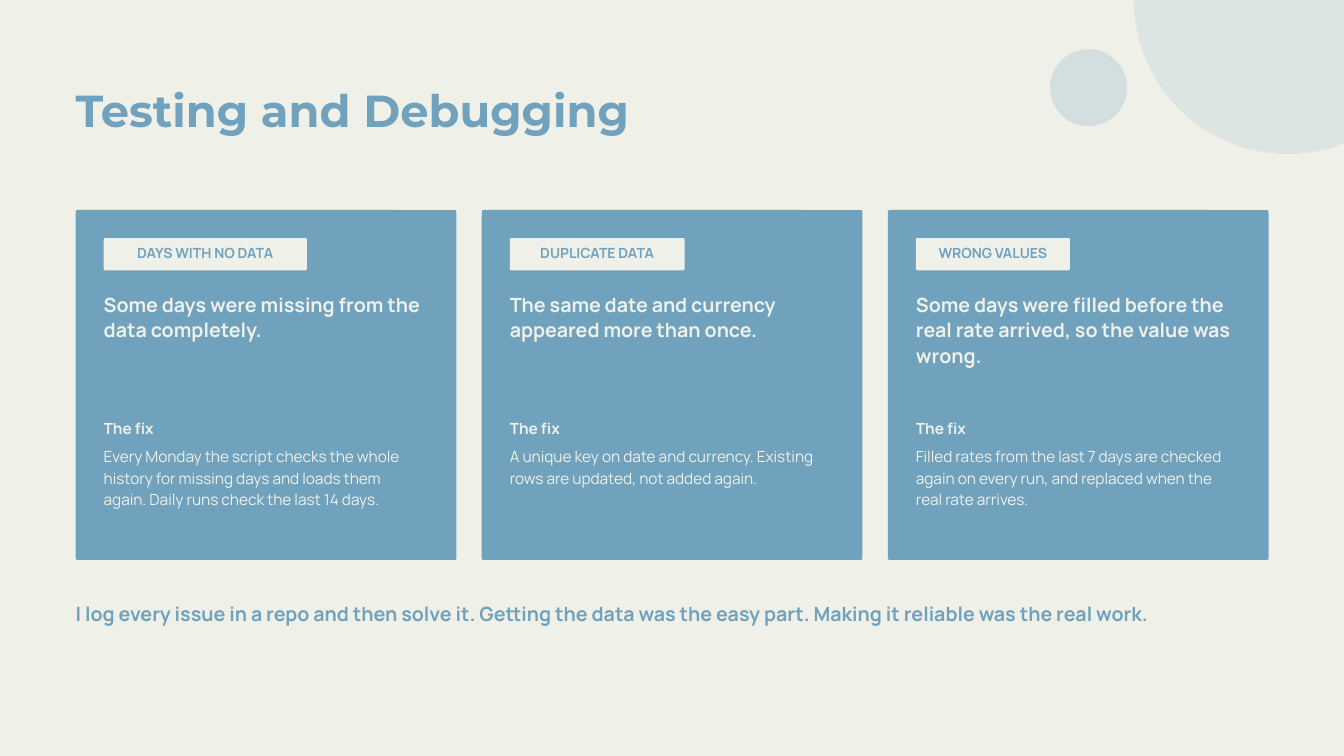
from typing import NamedTuple

from lxml.etree import SubElement
from pptx import Presentation
from pptx.dml.color import RGBColor
from pptx.enum.shapes import MSO_SHAPE as Kind
from pptx.enum.text import MSO_AUTO_SIZE as Fit, PP_ALIGN as Align
from pptx.oxml.ns import qn
from pptx.shapes.autoshape import Shape
from pptx.slide import Slide
from pptx.util import Cm, Pt

BLUE = RGBColor(0x70, 0xA1, 0xBD)
CREAM = RGBColor(0xEF, 0xF1, 0xE8)

LEFT, TOP = 2.86, 7.94
WIDTH, HEIGHT = 14.39, 13.23
STEP, PAD = 15.35, 1.06
FULL = 44.98


class Box(NamedTuple):
    x: float
    y: float
    w: float
    h: float


class Style(NamedTuple):
    size: float
    line: float
    color: RGBColor
    bold: bool = True
    font: str = "Manrope"
    align: Align = Align.LEFT


class Card(NamedTuple):
    tag: str
    wide: float
    issue: str
    lines: int
    fix: str


class Disc(NamedTuple):
    x: float
    y: float
    size: float
    alpha: int


TITLE = Style(48, 52.8, BLUE, font="Montserrat")
CLOSE = Style(21, 29.4, BLUE)
TAG = Style(15, 19.5, BLUE, align=Align.CENTER)
ISSUE = Style(21, 27.3, CREAM)
HEAD = Style(16.5, 21.4, CREAM)
BODY = Style(16.5, 23.1, CREAM, bold=False)

CARDS = [
    Card("DAYS WITH NO DATA", 7.68,
         "Some days were missing from the data completely.", 2,
         "Every Monday the script checks the whole history for missing days "
         "and loads them again. Daily runs check the last 14 days."),
    Card("DUPLICATE DATA", 6.61,
         "The same date and currency appeared more than once.", 2,
         "A unique key on date and currency. Existing rows are updated, "
         "not added again."),
    Card("WRONG VALUES", 5.82,
         "Some days were filled before the real rate arrived, "
         "so the value was wrong.", 3,
         "Filled rates from the last 7 days are checked again on every run, "
         "and replaced when the real rate arrives."),
]
DISCS = [Disc(42.86, -5.82, 11.64, 15), Disc(39.69, 1.86, 2.91, 22)]


def add_form(slide: Slide, kind: Kind, box: Box, color: RGBColor) -> Shape:
    form = slide.shapes.add_shape(kind, *map(Cm, box))
    form.shadow.inherit = False
    form.fill.solid()
    form.fill.fore_color.rgb = color
    form.line.fill.background()
    return form


def add_panel(slide: Slide, box: Box, color: RGBColor, curve: float) -> None:
    panel = add_form(slide, Kind.ROUNDED_RECTANGLE, box, color)
    panel.adjustments[0] = curve / min(box.w, box.h)


def add_text(slide: Slide, box: Box, text: str, style: Style) -> None:
    frame = slide.shapes.add_textbox(*map(Cm, box)).text_frame
    frame.word_wrap = True
    frame.auto_size = Fit.SHAPE_TO_FIT_TEXT
    frame.margin_left = frame.margin_right = 0
    frame.margin_top = frame.margin_bottom = 0
    para = frame.paragraphs[0]
    para.text = text
    para.alignment = style.align
    para.line_spacing = Pt(style.line)
    para.font.name = style.font
    para.font.size = Pt(style.size)
    para.font.bold = style.bold
    para.font.color.rgb = style.color


def add_card(slide: Slide, card: Card, x: float) -> None:
    inner = x + PAD
    add_panel(slide, Box(x, TOP, WIDTH, HEIGHT), BLUE, 0.07)
    add_panel(slide, Box(inner, TOP + PAD, card.wide, 1.22), CREAM, 0.06)
    add_text(slide, Box(inner, 9.2, card.wide, 0.7), card.tag, TAG)
    add_text(slide, Box(inner, 11, 12.27, card.lines * 0.97), card.issue, ISSUE)
    add_text(slide, Box(inner, 15.8, 12.17, 0.76), "The fix", HEAD)
    add_text(slide, Box(inner, 16.79, 12.17, 2.39), card.fix, BODY)


def add_disc(slide: Slide, disc: Disc) -> None:
    box = Box(disc.x, disc.y, disc.size, disc.size)
    form = add_form(slide, Kind.OVAL, box, BLUE)
    tint = form.fill._xPr.find(qn("a:solidFill"))[0]
    SubElement(tint, qn("a:alpha"), val=str(disc.alpha * 1000))


def main() -> None:
    deck = Presentation()
    deck.slide_width, deck.slide_height = Cm(50.8), Cm(28.58)
    slide = deck.slides.add_slide(deck.slide_layouts[6])
    slide.background.fill.solid()
    slide.background.fill.fore_color.rgb = CREAM

    add_text(slide, Box(LEFT, 3.28, FULL, 1.86), "Testing and Debugging", TITLE)
    add_text(slide, Box(LEFT, 22.6, FULL, 1.04),
             "I log every issue in a repo and then solve it. Getting the data "
             "was the easy part. Making it reliable was the real work.", CLOSE)
    for i, card in enumerate(CARDS):
        add_card(slide, card, LEFT + i * STEP)
    for disc in DISCS:
        add_disc(slide, disc)
    deck.save("out.pptx")


if __name__ == "__main__":
    main()
